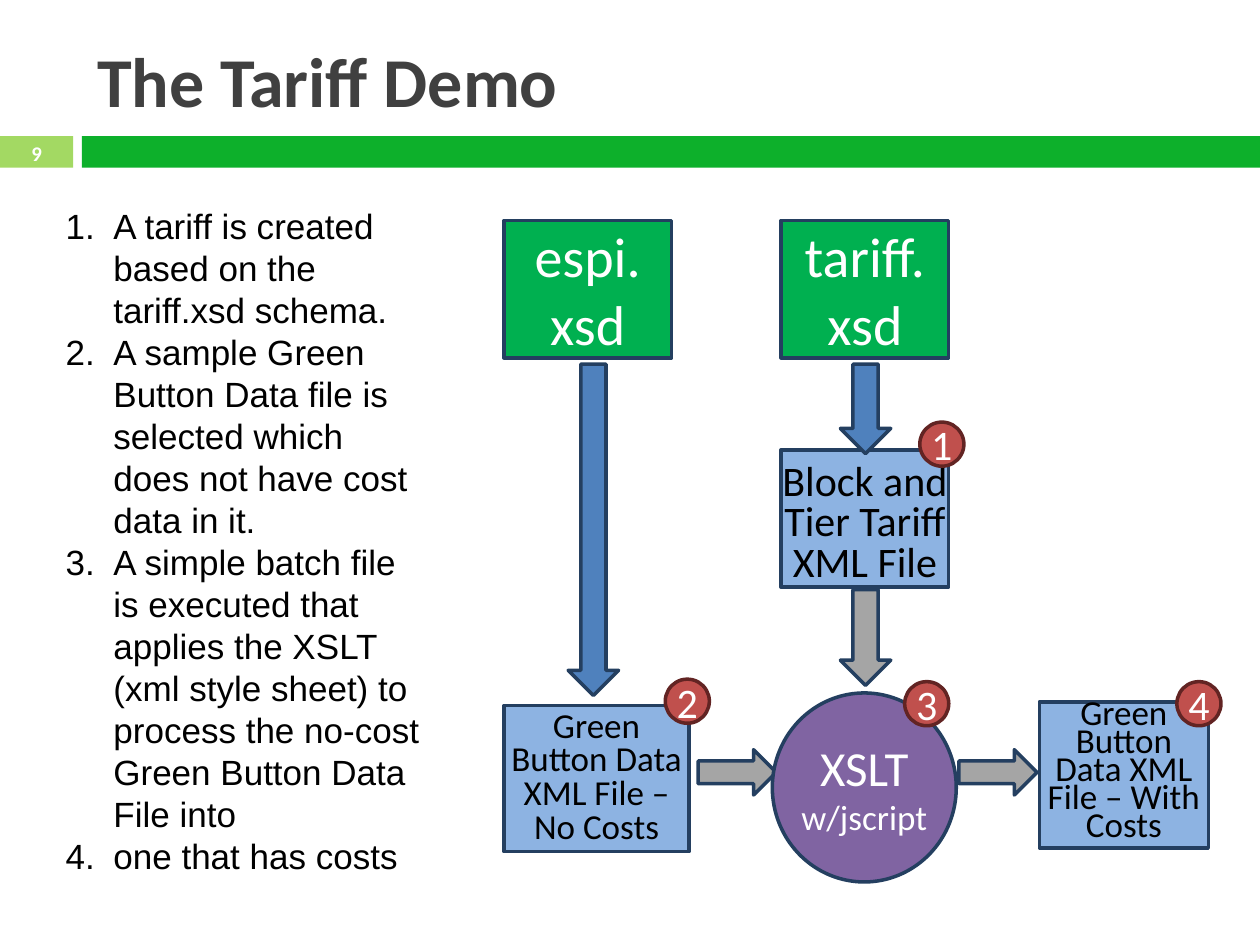
from lxml import etree
from pptx import Presentation
from pptx.dml.color import RGBColor
from pptx.enum.shapes import MSO_SHAPE as SHAPE
from pptx.enum.text import MSO_ANCHOR as ANCHOR, MSO_AUTO_SIZE as AUTO, PP_ALIGN as ALIGN
from pptx.oxml.ns import qn
from pptx.util import Inches, Pt

COLORS = {
    "lime": "A3D963", "green": "0DB02B", "schema": "00B050", "file": "8DB3E2",
    "xslt": "8064A2", "badge": "C0504D", "badge_line": "622423",
    "navy": "243F60", "gray": "A5A5A5", "blue": "4F81BD",
    "title": "404040", "black": "000000", "white": "FFFFFF",
}

TITLE = "The Tariff Demo"
PAGE = "9"
STEPS = [
    "A tariff is created based on the tariff.xsd schema.",
    "A sample Green Button Data file is selected which does not have cost data in it.",
    "A simple batch file is executed that applies the XSLT (xml style sheet) "
    "to process the no-cost Green Button Data File into",
    "one that has costs",
]

# Header bars: left, width, colour
BARS = [(0, 0.58, "lime"), (0.65, 9.35, "green")]

ESPI_X, TARIFF_X = 4, 6.2  # left edges of the two schema columns
BOX_W, BOX_H = 1.33, 1.09
FLOW_Y = 5.95              # top of the horizontal arrows
NO_MARGIN = (0, 0, 0, 0)
TOP_MARGIN = (0, 0.1, 0, 0)
BOX_MARGIN = (0.1, 0.05, 0.1, 0.05)

# Flow parts, back to front: shape, place, fill, then for nodes
# text runs (text, size), text colour, margins, line spacing
FLOW = [
    (SHAPE.RECTANGLE, (ESPI_X, 5.6, 1.47, 1.16), "file",
     [("Green Button Data XML File – No Costs", 20)], "black", NO_MARGIN, 0.8),
    (SHAPE.RECTANGLE, (8.25, 5.57, 1.34, 1.16), "file",
     [("Green Button Data XML File – With Costs", 20)], "black", NO_MARGIN, Pt(16)),
    (SHAPE.RIGHT_ARROW, (5.54, FLOW_Y, 0.62, 0.36), "gray"),
    (SHAPE.OVAL, (6.13, 5.5, 1.46, 1.5), "xslt",
     [("XSLT ", 28), ("w/jscript", 20)], "white", NO_MARGIN, 1.0),
    (SHAPE.RIGHT_ARROW, (7.61, FLOW_Y, 0.62, 0.36), "gray"),
    (SHAPE.RECTANGLE, (TARIFF_X, 3.57, BOX_W, BOX_H), "file",
     [("Block and Tier Tariff XML File", 24)], "black", TOP_MARGIN, 0.8),
    (SHAPE.DOWN_ARROW, (6.67, 4.68, 0.4, 0.76), "gray"),
    (SHAPE.RECTANGLE, (ESPI_X, 1.75, BOX_W, BOX_H), "schema",
     [("espi. xsd", 32)], "white", BOX_MARGIN, 1.0),
    (SHAPE.RECTANGLE, (TARIFF_X, 1.75, BOX_W, BOX_H), "schema",
     [("tariff.xsd", 32)], "white", BOX_MARGIN, 1.0),
    (SHAPE.DOWN_ARROW, (4.51, 2.89, 0.4, 2.63), "blue"),
    (SHAPE.DOWN_ARROW, (6.67, 2.89, 0.4, 0.71), "blue"),
]

# Left and top of the step badges, numbered in order
BADGES = [(7.3, 3.35), (5.28, 5.39), (7.18, 5.41), (9.34, 5.41)]
BADGE_SIZE = 0.35


def rgb(name):
    return RGBColor.from_string(COLORS[name])


def place(sp, box):
    sp.left, sp.top, sp.width, sp.height = map(Inches, box)


def add_run(p, text, size, color, font="Calibri", bold=False):
    r = p.add_run()
    r.text = text
    r.font.name, r.font.size, r.font.bold = font, Pt(size), bold
    r.font.color.rgb = rgb(color)


def add_shape(slide, kind, box, fill, line=None):
    sp = slide.shapes.add_shape(kind, *map(Inches, box))
    sp.shadow.inherit = False
    sp.fill.solid()
    sp.fill.fore_color.rgb = rgb(fill)
    if line:
        sp.line.color.rgb = rgb(line)
        sp.line.width = Pt(2)
    else:
        sp.line.fill.background()
    return sp


def set_text(sp, runs, color, margins, spacing=1.0, before=0, after=0, bold=False):
    tf = sp.text_frame
    tf.word_wrap = True
    tf.vertical_anchor = ANCHOR.MIDDLE
    (tf.margin_left, tf.margin_top,
     tf.margin_right, tf.margin_bottom) = map(Inches, margins)
    p = tf.paragraphs[0]
    p.alignment = ALIGN.CENTER
    p.line_spacing = spacing
    p.space_before, p.space_after = Pt(before), Pt(after)
    for text, size in runs:
        add_run(p, text, size, color, bold=bold)


def number(p):
    pPr = p._p.get_or_add_pPr()
    pPr.set("marL", str(Inches(0.38)))
    pPr.set("indent", str(-Inches(0.38)))
    font = etree.SubElement(pPr, qn("a:buFont"))
    font.set("typeface", "Arial")
    etree.SubElement(pPr, qn("a:buAutoNum")).set("type", "arabicPeriod")


def main():
    prs = Presentation()
    prs.slide_width, prs.slide_height = Inches(10), Inches(7.5)
    slide = prs.slides.add_slide(prs.slide_layouts[1])
    title, body = slide.placeholders

    # Header
    for left, width, color in BARS:
        add_shape(slide, SHAPE.RECTANGLE, (left, 1.08, width, 0.25), color)
    place(title, (0.67, 0.17, 9.19, 0.92))
    title.text_frame.auto_size = AUTO.NONE
    title.text_frame.vertical_anchor = ANCHOR.MIDDLE
    p = title.text_frame.paragraphs[0]
    p.alignment = ALIGN.LEFT
    add_run(p, TITLE, 40, "title", bold=True)
    page = slide.shapes.add_textbox(*map(Inches, (0, 1.08, 0.58, 0.27)))
    set_text(page, [(PAGE, 11.9)], "white", BOX_MARGIN, bold=True)

    # Numbered steps
    place(body, (0.42, 1.57, 3.08, 5.45))
    tf = body.text_frame
    tf.auto_size = AUTO.NONE
    tf.vertical_anchor = ANCHOR.TOP
    for i, step in enumerate(STEPS):
        p = tf.add_paragraph() if i else tf.paragraphs[0]
        p.line_spacing = Pt(24)
        p.space_before = p.space_after = Pt(0)
        number(p)
        add_run(p, step, 20, "black", font="Arial")

    # Flow diagram
    for kind, box, fill, *text in FLOW:
        sp = add_shape(slide, kind, box, fill, "navy")
        if text:
            set_text(sp, *text, before=5, after=5)

    # Step badges
    for n, (left, top) in enumerate(BADGES, 1):
        sp = add_shape(slide, SHAPE.OVAL, (left, top, BADGE_SIZE, BADGE_SIZE),
                       "badge", "badge_line")
        set_text(sp, [(str(n), 24)], "white", NO_MARGIN, after=10)

    prs.save("out.pptx")


if __name__ == "__main__":
    main()
